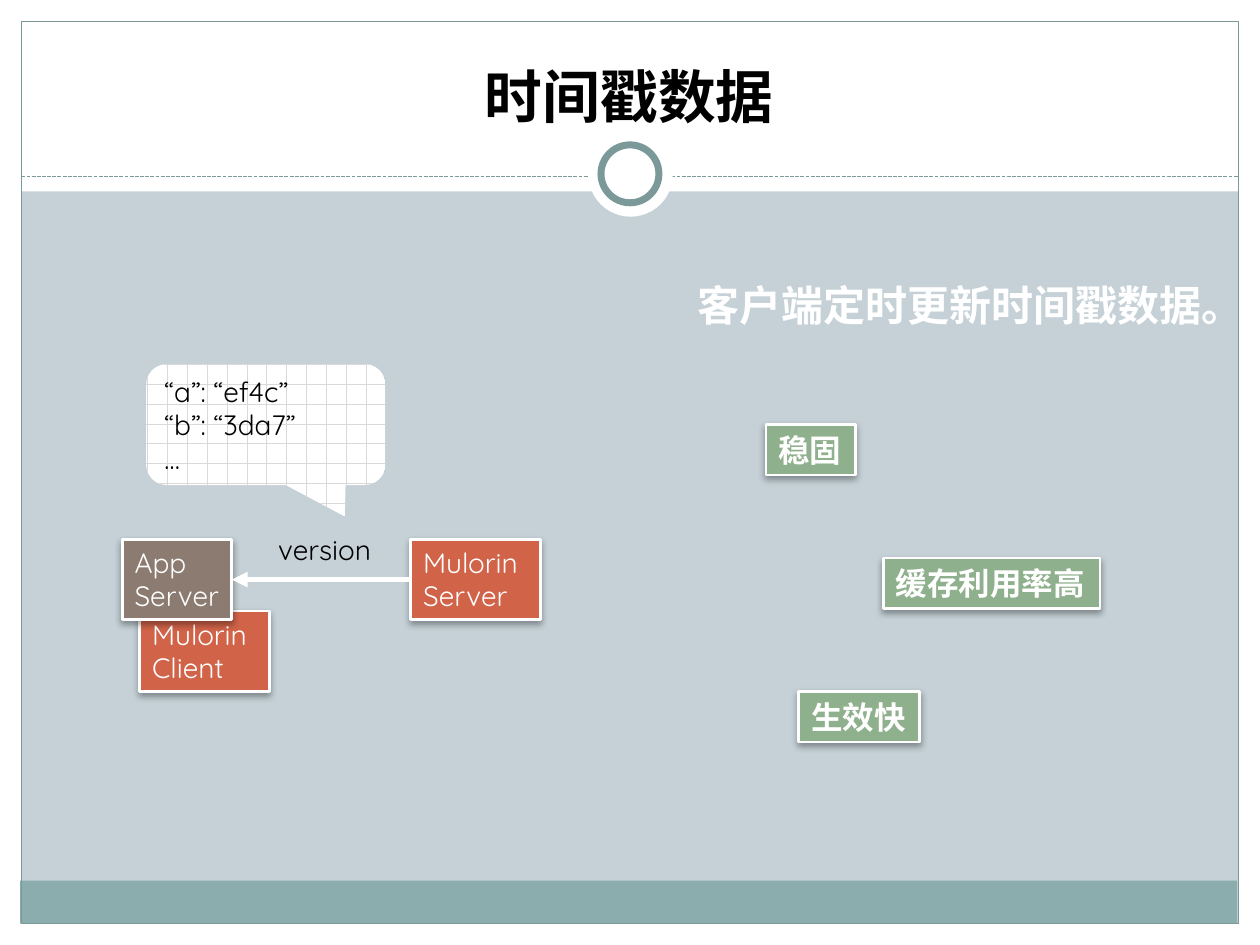
import pptx
import pptx.util
import pptx.dml.color
import pptx.enum.dml
import pptx.enum.shapes
import pptx.enum.text
import pptx.oxml
import pptx.oxml.ns

Inches, Pt = pptx.util.Inches, pptx.util.Pt
RGB = pptx.dml.color.RGBColor
Shape = pptx.enum.shapes.MSO_SHAPE
Anchor = pptx.enum.text.MSO_ANCHOR
Align = pptx.enum.text.PP_ALIGN
Fit = pptx.enum.text.MSO_AUTO_SIZE
Dash = pptx.enum.dml.MSO_LINE

WHITE = RGB(0xFF, 0xFF, 0xFF)
BLACK = RGB(0, 0, 0)
MIST = RGB(0xC5, 0xD1, 0xD7)
TEAL = RGB(0x8C, 0xAD, 0xAE)
EDGE = RGB(0x7C, 0x99, 0x9A)
RED = RGB(0xD1, 0x63, 0x49)
BROWN = RGB(0x8C, 0x7B, 0x70)
GREEN = RGB(0x8F, 0xB0, 0x8C)
GREY = RGB(0xD9, 0xD9, 0xD9)
HAN, SANS, ROUND = "Noto Sans CJK SC", "Lato", "Quicksand"

# Frame: kind, place, fill, line colour, line width
FRAME = [
    (Shape.RECTANGLE, (0, 7.33, 10, 0.17), WHITE, None, 0),
    (Shape.RECTANGLE, (0, 0, 10, 1.52), WHITE, None, 0),
    (Shape.RECTANGLE, (0, 0, 0.17, 7.5), WHITE, None, 0),
    (Shape.RECTANGLE, (9.83, 0, 0.17, 7.5), WHITE, None, 0),
    (Shape.RECTANGLE, (0.16, 6.99, 9.66, 0.34), TEAL, None, 0),
    (Shape.RECTANGLE, (0.17, 0.17, 9.66, 7.16), None, EDGE, 0.75),
]
RINGS = [
    (Shape.OVAL, (4.67, 1.05, 0.67, 0.67), WHITE, None, 0),
    (Shape.OVAL, (4.77, 1.15, 0.46, 0.46), WHITE, EDGE, 4),
]
NODES = [
    (("Mulorin", "Client"), (1.11, 4.85, 1.03, 0.64), RED),
    (("Mulorin", "Server"), (3.26, 4.28, 1.03, 0.64), RED),
    (("App", "Server"), (0.97, 4.28, 0.87, 0.64), BROWN),
]
PERKS = [
    ("缓存利用率高", (7.01, 4.43, 1.72, 0.4)),
    ("生效快", (6.34, 5.49, 0.96, 0.4)),
    ("稳固", (6.08, 3.37, 0.71, 0.4)),
]
DATA = ("“a”: “ef4c”", "“b”: “3da7”", "…")

NS = 'xmlns:a="http://schemas.openxmlformats.org/drawingml/2006/main"'
SHADOW = (f'<a:effectLst {NS}><a:outerShdw blurRad="50800" dist="25400" '
          'dir="5400000" rotWithShape="0"><a:srgbClr val="000000">'
          '<a:alpha val="35000"/></a:srgbClr></a:outerShdw></a:effectLst>')

deck = pptx.Presentation()
deck.slide_width, deck.slide_height = Inches(10), Inches(7.5)
slide = deck.slides.add_slide(deck.slide_layouts[6])
slide.background.fill.solid()
slide.background.fill.fore_color.rgb = MIST
shapes = slide.shapes


def draw(kind, place, fill, line=None, width=0):
    item = shapes.add_shape(kind, *map(Inches, place))
    item.shadow.inherit = False
    if fill is None:
        item.fill.background()
    else:
        item.fill.solid()
        item.fill.fore_color.rgb = fill
    if line is None:
        item.line.fill.background()
    else:
        item.line.color.rgb = line
        item.line.width = Pt(width)
    return item


def write(item, lines, size, face, color, bold=False, wrap=False,
          align=Align.LEFT, anchor=Anchor.TOP, fit=Fit.SHAPE_TO_FIT_TEXT):
    frame = item.text_frame
    frame.text = "\n".join(lines)
    frame.word_wrap, frame.auto_size = wrap, fit
    frame.vertical_anchor = anchor
    for para in frame.paragraphs:
        para.alignment = align
        font = para.font
        font.size, font.name, font.bold = Pt(size), face, bold
        font.color.rgb = color
        latin = para._p.pPr.find(".//" + pptx.oxml.ns.qn("a:latin"))
        latin.addnext(pptx.oxml.parse_xml(f'<a:ea {NS} typeface="{HAN}"/>'))


def label(place, text, *style, **more):
    write(shapes.add_textbox(*map(Inches, place)), [text], *style, **more)


def card(lines, place, fill, *style):
    """Draw a white-edged box with a soft shadow."""
    item = draw(Shape.RECTANGLE, place, fill, WHITE, 1.57)
    props = item._element.spPr
    props.remove(props.find(pptx.oxml.ns.qn("a:effectLst")))
    props.append(pptx.oxml.parse_xml(SHADOW))
    write(item, lines, *style)
    return item


def link(start, end, color, width):
    line = shapes.add_connector(pptx.enum.shapes.MSO_CONNECTOR.STRAIGHT,
                                *map(Inches, start + end))
    line.line.color.rgb = color
    line.line.width = Pt(width)
    line._element.spPr.append(pptx.oxml.parse_xml(f"<a:effectLst {NS}/>"))
    return line


for part in FRAME:
    draw(*part)
link((0.17, 1.4), (9.83, 1.4), EDGE, 0.75).line.dash_style = Dash.SQUARE_DOT
for part in RINGS:
    draw(*part)

label((0.33, 0.25, 9.33, 0.83), "时间戳数据", 33, SANS, BLACK, True, wrap=True,
      align=Align.CENTER, anchor=Anchor.BOTTOM, fit=Fit.NONE)
label((5.44, 2.17, 4.58, 0.5), "客户端定时更新时间戳数据。", 24, SANS, WHITE, True)

bubble = draw(Shape.ROUNDED_RECTANGULAR_CALLOUT, (1.16, 2.89, 1.9, 0.96), WHITE)
bubble.fill.patterned()
bubble.fill.pattern = pptx.enum.dml.MSO_PATTERN.DOTTED_GRID
bubble.fill.fore_color.rgb = GREY
bubble.fill.back_color.rgb = WHITE
for spot, value in enumerate((0.33, 0.76, 0.17)):
    bubble.adjustments[spot] = value
write(bubble, DATA, 16, ROUND, BLACK, wrap=True, anchor=Anchor.MIDDLE, fit=Fit.NONE)

client, server, app = [card(*node, 16, ROUND, WHITE) for node in NODES]
arrow = link((3.26, 4.6), (1.84, 4.6), WHITE, 3)
arrow.begin_connect(server, 1)
arrow.end_connect(app, 3)
arrow.line._get_or_add_ln().append(
    pptx.oxml.parse_xml(f'<a:tailEnd {NS} type="triangle"/>'))
label((2.11, 4.18, 0.96, 0.37), "version", 16, ROUND, BLACK)

for text, place in PERKS:
    card([text], place, GREEN, 18, HAN, WHITE, True)

deck.save("out.pptx")
